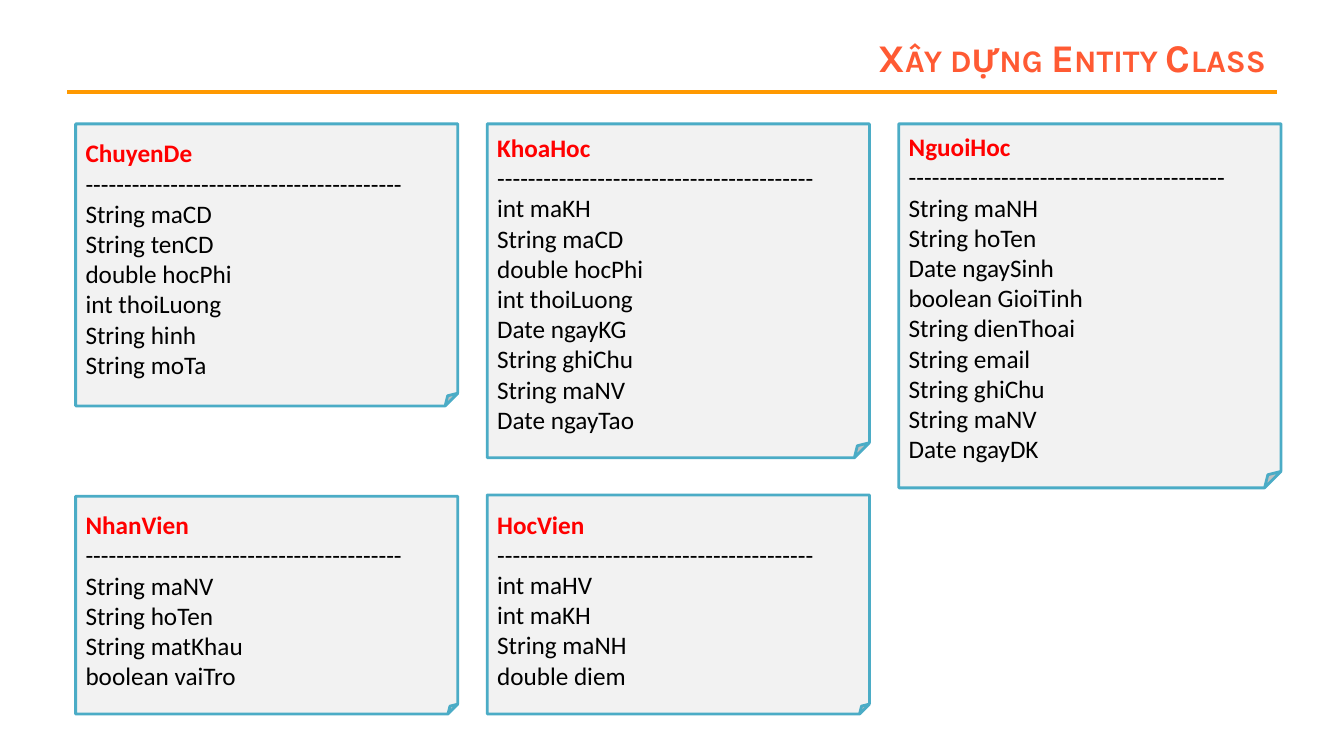
"""Build the slide that lists the entity classes of the course system."""
from dataclasses import dataclass

from lxml.etree import SubElement
from pptx import Presentation
from pptx.dml.color import RGBColor as Rgb
from pptx.enum.shapes import MSO_CONNECTOR as Connector, MSO_SHAPE as Preset
from pptx.enum.text import MSO_ANCHOR as Anchor, MSO_AUTO_SIZE as AutoSize, PP_ALIGN as Align
from pptx.oxml.ns import qn
from pptx.shapes.autoshape import Shape
from pptx.slide import Slide
from pptx.util import Pt


@dataclass(frozen=True)
class Theme:
    title_font: str = "Karla"
    body_font: str = "Calibri"
    title_size: float = 28
    body_size: float = 18
    title: Rgb = Rgb(0xFF, 0x5A, 0x33)
    rule: Rgb = Rgb(0xFF, 0x99, 0x00)
    card_fill: Rgb = Rgb(0xF2, 0xF2, 0xF2)
    card_line: Rgb = Rgb(0x4B, 0xAC, 0xC6)
    class_name: Rgb = Rgb(0xFF, 0x00, 0x00)
    field: Rgb = Rgb(0x00, 0x00, 0x00)


@dataclass(frozen=True)
class EntityCard:
    name: str
    column: int
    top: float
    height: float
    fields: tuple[str, ...]


THEME = Theme()
CARD_LEFT, CARD_PITCH, CARD_WIDTH = 54, 294, 273
UPPER_TOP = 88.5
FOLD = 4500
DIVIDER = "-" * 41

CARDS = (
    EntityCard("NguoiHoc", 2, UPPER_TOP, 260, (
        "String maNH", "String hoTen", "Date ngaySinh", "boolean GioiTinh", "String dienThoai",
        "String email", "String ghiChu", "String maNV", "Date ngayDK")),
    EntityCard("KhoaHoc", 1, UPPER_TOP, 238.5, (
        "int maKH", "String maCD", "double hocPhi", "int thoiLuong", "Date ngayKG",
        "String ghiChu", "String maNV", "Date ngayTao")),
    EntityCard("ChuyenDe", 0, UPPER_TOP, 201.5, (
        "String maCD", "String tenCD", "double hocPhi", "int thoiLuong", "String hinh",
        "String moTa")),
    EntityCard("HocVien", 1, 353.5, 156.5, (
        "int maHV", "int maKH", "String maNH", "double diem")),
    EntityCard("NhanVien", 0, 354.5, 155.5, (
        "String maNV", "String hoTen", "String matKhau", "boolean vaiTro")),
)


def add_rule(slide: Slide) -> None:
    """Draw the line under the title."""
    rule = slide.shapes.add_connector(Connector.STRAIGHT, Pt(48), Pt(66), Pt(912), Pt(66))
    rule.line.color.rgb = THEME.rule
    rule.line.width = Pt(3)
    SubElement(rule._element.spPr, qn("a:effectLst"))


def set_title(slide: Slide, text: str) -> None:
    """Place and format the title in small capitals."""
    title = slide.shapes.title
    title.left, title.top, title.width, title.height = Pt(175.5), Pt(21.5), Pt(736), Pt(38)
    frame = title.text_frame
    frame.text = text
    frame.auto_size = AutoSize.NONE
    frame.vertical_anchor = Anchor.MIDDLE
    para = frame.paragraphs[0]
    para.alignment = Align.RIGHT
    span = para.runs[0]
    span.font.name = THEME.title_font
    span.font.size = Pt(THEME.title_size)
    span.font.bold = True
    span.font.color.rgb = THEME.title
    span.font._element.set("cap", "small")


def set_fold(box: Shape) -> None:
    """Set the size of the folded corner."""
    guides = next(box._element.iter(qn("a:avLst")))
    SubElement(guides, qn("a:gd"), name="adj", fmla=f"val {FOLD}")


def add_card(slide: Slide, card: EntityCard) -> None:
    """Draw one class as a folded sheet with its name and fields."""
    box = slide.shapes.add_shape(
        Preset.FOLDED_CORNER, Pt(CARD_LEFT + card.column * CARD_PITCH), Pt(card.top),
        Pt(CARD_WIDTH), Pt(card.height))
    set_fold(box)
    box.shadow.inherit = False
    box.fill.solid()
    box.fill.fore_color.rgb = THEME.card_fill
    box.line.color.rgb = THEME.card_line
    box.line.width = Pt(2)
    frame = box.text_frame
    frame.word_wrap = True
    frame.vertical_anchor = Anchor.MIDDLE
    frame.text = "\n".join((card.name, DIVIDER, *card.fields))
    for index, para in enumerate(frame.paragraphs):
        is_name = index == 0
        para.alignment = Align.LEFT
        font = para.runs[0].font
        font.name = THEME.body_font
        font.size = Pt(THEME.body_size)
        font.bold = is_name
        font.color.rgb = THEME.class_name if is_name else THEME.field


def main() -> None:
    """Build and save the deck."""
    deck = Presentation()
    deck.slide_width, deck.slide_height = Pt(960), Pt(540)
    slide = deck.slides.add_slide(deck.slide_layouts.get_by_name("Title Only"))
    add_rule(slide)
    set_title(slide, "Xây dựng Entity Class")
    for card in CARDS:
        add_card(slide, card)
    deck.save("out.pptx")


if __name__ == "__main__":
    main()
